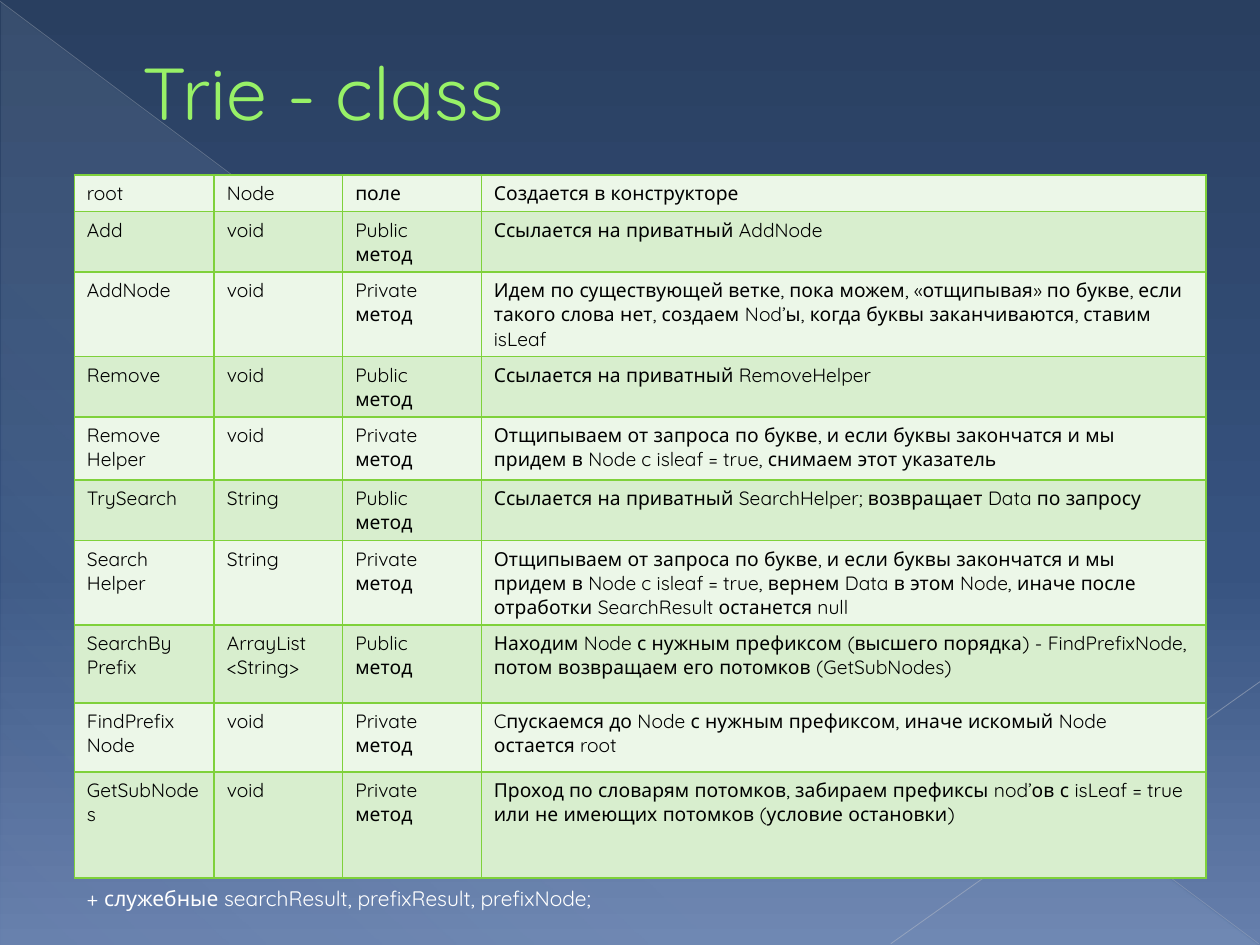
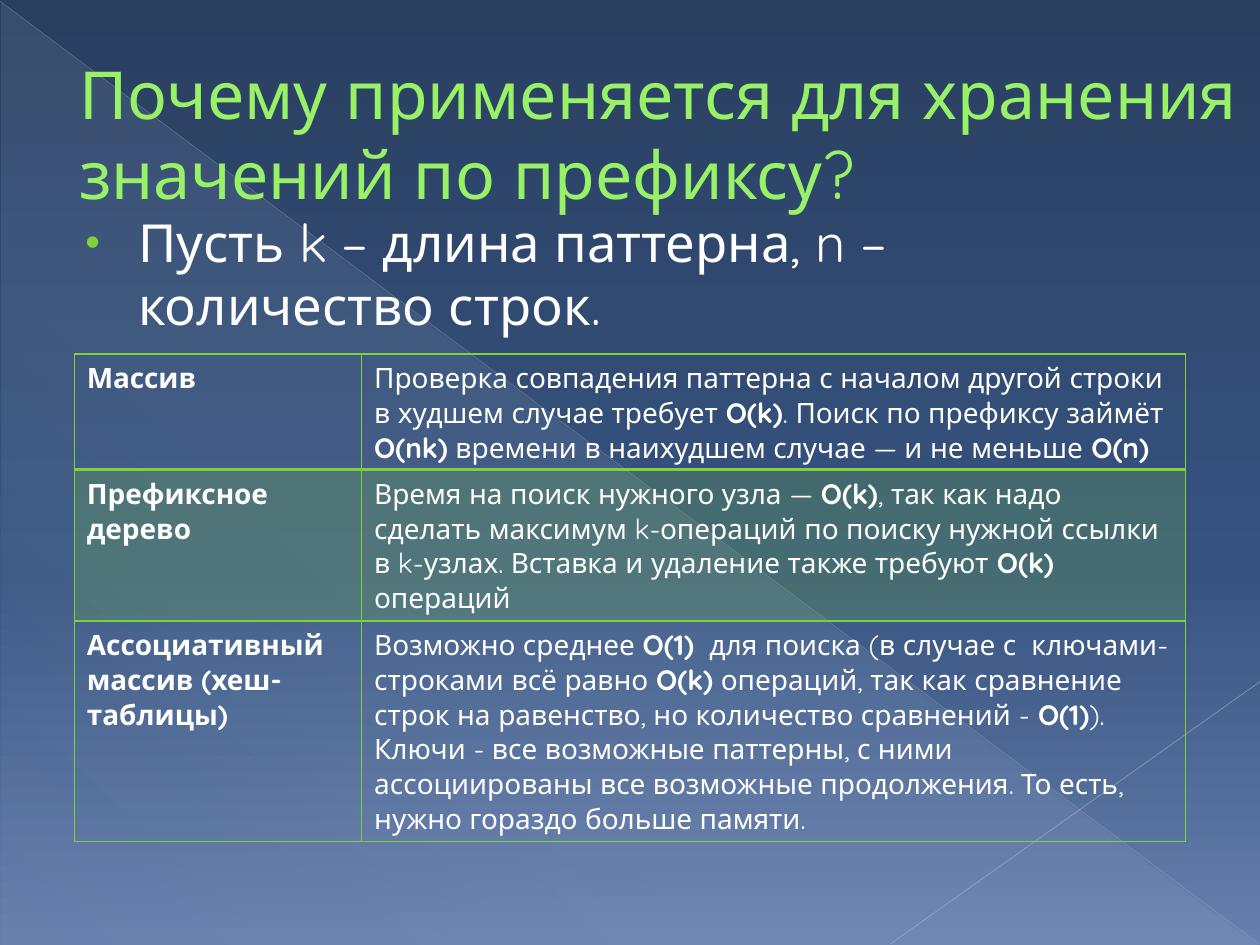
from lxml.etree import SubElement
from pptx import Presentation
from pptx.dml.color import RGBColor
from pptx.enum.shapes import MSO_CONNECTOR, MSO_SHAPE
from pptx.enum.text import MSO_ANCHOR
from pptx.oxml import parse_xml
from pptx.oxml.ns import nsdecls, qn
from pptx.util import Inches, Pt

W, H = 10, 7.5
FONT = "Quicksand"
WHITE, BLACK, LIME = "FFFFFF", "000000", "7FD13B"
TITLE, TITLE_EDGE = "98F167", "589129"
BANDS = ("ECF7E8", "D8EECE")
SKY = [(0, "293F60", 100), (60, "375380", 100), (100, "667FAC", 100)]
SHEEN = [(0, "D6ECFF", 10), (70, "D6ECFF", 8), (100, "D6ECFF", 1)]

VOID, STRING, PUBLIC, PRIVATE = "void", "String", "Public метод", "Private метод"
MEMBERS = [
    ("root", "Node", "поле", "Создается в конструкторе"),
    ("Add", VOID, PUBLIC, "Ссылается на приватный AddNode"),
    ("AddNode", VOID, PRIVATE,
     "Идем по существующей ветке, пока можем, «отщипывая» по букве, если "
     "такого слова нет, создаем Nod’ы, когда буквы заканчиваются, ставим isLeaf"),
    ("Remove", VOID, PUBLIC, "Ссылается на приватный RemoveHelper"),
    ("Remove\nHelper", VOID, PRIVATE,
     "Отщипываем от запроса по букве, и если буквы закончатся и мы придем "
     "в Node c isleaf = true, снимаем этот указатель"),
    ("TrySearch", STRING, PUBLIC,
     "Ссылается на приватный SearchHelper; возвращает Data по запросу"),
    ("Search Helper", STRING, PRIVATE,
     "Отщипываем от запроса по букве, и если буквы закончатся и мы придем "
     "в Node c isleaf = true, вернем Data в этом Node, иначе после отработки "
     "SearchResult останется null"),
    ("SearchBy Prefix", "ArrayList <String>", PUBLIC,
     "Находим Node с нужным префиксом (высшего порядка) - FindPrefixNode, "
     "потом возвращаем его потомков (GetSubNodes)"),
    ("FindPrefix Node", VOID, PRIVATE,
     "Cпускаемся до Node с нужным префиксом, иначе искомый Node остается root"),
    ("GetSubNodes", VOID, PRIVATE,
     "Проход по словарям потомков, забираем префиксы nod’ов с isLeaf = true "
     "или не имеющих потомков (условие остановки)"),
]
# Text between asterisks is bold.
STRUCTURES = [
    ("*Массив*",
     "Проверка совпадения паттерна с началом другой строки в худшем случае "
     "требует *O(k)*. Поиск по префиксу займёт *O(nk)* времени в наихудшем "
     "случае — и не меньше *O(n)*"),
    ("*Префиксное дерево*",
     "Время на поиск нужного узла — *O(k)*, так как надо сделать максимум "
     "k-операций по поиску нужной ссылки в k-узлах. Вставка и удаление также "
     "требуют *O(k)* операций"),
    ("*Ассоциативный массив (хеш-таблицы)*",
     "Возможно среднее *O(1) * для поиска (в случае с  ключами-строками всё "
     "равно *O(k)* операций, так как сравнение строк на равенство, но "
     "количество сравнений - *O(1)*). Ключи - все возможные паттерны, с ними "
     "ассоциированы все возможные продолжения. То есть, нужно гораздо больше "
     "памяти."),
]


def color(hex_code):
    """Turn a hex string into a colour."""
    return RGBColor.from_string(hex_code)


def set_alpha(element, percent):
    """Make the colours inside an element partly opaque."""
    for clr in element.iter(qn("a:srgbClr")):
        SubElement(clr, qn("a:alpha"), val=str(percent * 1000))


def set_gradient(fill, holder, stops, angle):
    """Fill the holder element with a linear gradient."""
    fill.solid()
    gs = "".join(
        f'<a:gs pos="{pos * 1000}"><a:srgbClr val="{c}">'
        f'<a:alpha val="{a * 1000}"/></a:srgbClr></a:gs>' for pos, c, a in stops)
    grad = parse_xml(f'<a:gradFill {nsdecls("a")} rotWithShape="1"><a:gsLst>{gs}'
                     f'</a:gsLst><a:lin ang="{angle * 60000}" scaled="0"/></a:gradFill>')
    solid = holder.find(qn("a:solidFill"))
    holder.replace(solid, grad)


def add_line(s, start, end, hex_code, width, alpha):
    """Draw a thin translucent line."""
    x1, y1, x2, y2 = (Inches(v) for v in start + end)
    line = s.shapes.add_connector(MSO_CONNECTOR.STRAIGHT, x1, y1, x2, y2)
    line.line.color.rgb = color(hex_code)
    line.line.width = Pt(width)
    props = line._element.spPr
    set_alpha(props, alpha)
    SubElement(props, qn("a:effectLst"))


def new_slide(prs):
    """Add a blank slide with the shared backdrop."""
    s = prs.slides.add_slide(prs.slide_layouts[6])
    fill = s.background.fill
    fill.solid()
    set_gradient(fill, s._element.find(".//" + qn("p:bgPr")), SKY, 90)
    sheen = s.shapes.add_shape(MSO_SHAPE.RIGHT_TRIANGLE, Inches(0.01), Inches(0.02),
                               Inches(W - 0.02), Inches(H - 0.02))
    sheen.shadow.inherit = False
    sheen.line.fill.background()
    set_gradient(sheen.fill, sheen._element.spPr, SHEEN, 133)
    add_line(s, (0, 0.01), (W - 0.01, H - 0.01), "B7BCC5", 0.39, 35)
    add_line(s, (W, 5.41), (7.07, H - 0.01), "BFC3CB", 0.47, 45)
    return s


def write(p, text, size, hex_code):
    """Write text into a paragraph, bold between asterisks."""
    p.font.name, p.font.size = FONT, Pt(size)
    p.font.color.rgb = color(hex_code)
    for i, part in enumerate(text.split("*")):
        if part:
            r = p.add_run()
            r.text = part
            r.font.name, r.font.size = FONT, Pt(size)
            r.font.color.rgb = color(hex_code)
            r.font.bold = i % 2 == 1


def add_text(s, box, text, size, hex_code=WHITE, wrap=True):
    """Add a text box with one paragraph; return its frame and paragraph."""
    tf = s.shapes.add_textbox(*(Inches(v) for v in box)).text_frame
    tf.word_wrap = wrap
    p = tf.paragraphs[0]
    write(p, text, size, hex_code)
    return tf, p


def add_title(s, box, text, size):
    """Add an indented, outlined slide title."""
    tf, p = add_text(s, box, text, size, TITLE)
    tf.vertical_anchor = MSO_ANCHOR.MIDDLE
    p._p.get_or_add_pPr().set("marL", str(Inches(0.53)))
    for r in p.runs:
        r._r.get_or_add_rPr().insert(0, parse_xml(
            f'<a:ln {nsdecls("a")} w="{Pt(0.5)}"><a:solidFill>'
            f'<a:srgbClr val="{TITLE_EDGE}"/></a:solidFill></a:ln>'))


def add_bullet(s, box, text, size):
    """Add a bulleted paragraph with a hanging indent."""
    _, p = add_text(s, box, text, size)
    props = p._p.get_or_add_pPr()
    props.set("marL", str(Inches(0.49)))
    props.set("indent", str(Inches(-0.42)))
    marks = parse_xml(
        f'<a:pPr {nsdecls("a")}><a:spcBef><a:spcPct val="20000"/></a:spcBef>'
        f'<a:buClr><a:srgbClr val="{LIME}"/></a:buClr><a:buSzPct val="80000"/>'
        '<a:buFont typeface="Arial"/><a:buChar char="•"/></a:pPr>')
    for i, mark in enumerate(list(marks)):
        props.insert(i, mark)


def set_borders(cell, top=1, bottom=1):
    """Draw the four borders of a cell."""
    for side, width in zip("LRTB", (1, 1, top, bottom)):
        cell._tc.get_or_add_tcPr().append(parse_xml(
            f'<a:ln{side} {nsdecls("a")} w="{Pt(width)}"><a:solidFill>'
            f'<a:srgbClr val="{LIME}"/></a:solidFill></a:ln{side}>'))


def add_grid(s, left, top, cols, heights, rows, size, hex_code, fills, head_rule=1):
    """Add a table; fills holds (colour, alpha) or None for each row in turn."""
    shape = s.shapes.add_table(len(rows), len(cols), Inches(left), Inches(top),
                               Inches(sum(cols)), Inches(sum(heights)))
    table = shape.table
    table.first_row = table.horz_banding = False
    for col, width in zip(table.columns, cols):
        col.width = Inches(width)
    for i, (row, height, texts) in enumerate(zip(table.rows, heights, rows)):
        row.height = Inches(height)
        band = fills[i % len(fills)]
        for cell, text in zip(row.cells, texts):
            set_borders(cell, head_rule if i == 1 else 1, head_rule if i == 0 else 1)
            if band:
                cell.fill.solid()
                cell.fill.fore_color.rgb = color(band[0])
                set_alpha(cell._tc.tcPr.find(qn("a:solidFill")), band[1])
            else:
                cell.fill.background()
            tf = cell.text_frame
            for n, line in enumerate(text.split("\n")):
                write(tf.add_paragraph() if n else tf.paragraphs[0], line, size, hex_code)


def class_slide(prs):
    """Build the slide that lists the members of the class."""
    s = new_slide(prs)
    add_title(s, (0.5, 0.21, 9, 1.02), "Trie - class", 42)
    heights = [0.29, 0.48, 0.67, 0.48, 0.5, 0.48, 0.67, 0.62, 0.55, 0.84]
    add_grid(s, 0.59, 1.39, [1.11, 1.02, 1.1, 5.75], heights, MEMBERS, 11, BLACK,
             [(band, 100) for band in BANDS])
    add_text(s, (0.59, 6.98, 4.43, 0.3),
             "+ служебные searchResult, prefixResult, prefixNode;", 12, wrap=False)


def comparison_slide(prs):
    """Build the slide that compares the data structures."""
    s = new_slide(prs)
    add_title(s, (0, 0.29, W, 1.53),
              "Почему применяется для хранения значений по префиксу?", 37.8)
    add_bullet(s, (0.51, 1.62, 9, 5), "Пусть k – длина паттерна, n – количество строк.", 30)
    add_grid(s, 0.59, 2.81, [2.28, 6.54], [0.92, 1.2, 1.75], STRUCTURES, 16, WHITE,
             [None, (LIME, 20)], head_rule=2)


def main():
    """Build and save the presentation."""
    prs = Presentation()
    prs.slide_width, prs.slide_height = Inches(W), Inches(H)
    class_slide(prs)
    comparison_slide(prs)
    prs.save("out.pptx")


main()
